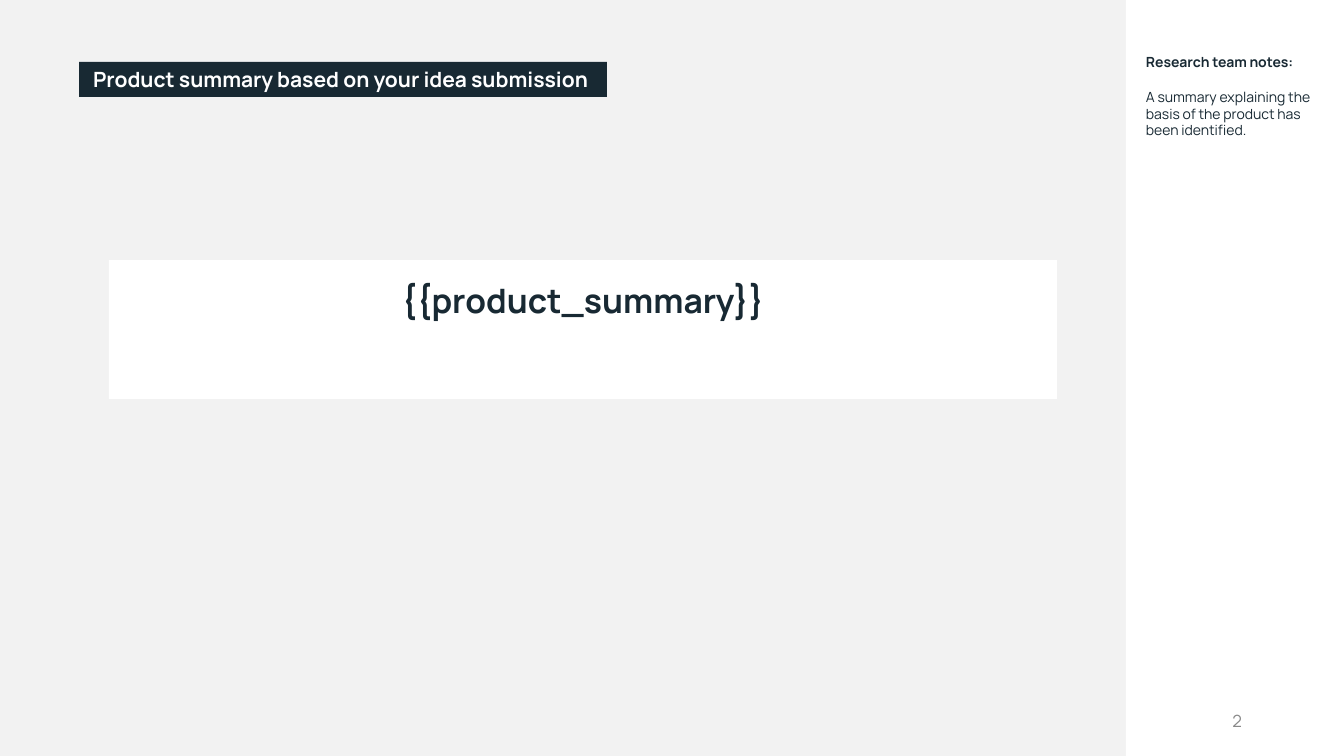
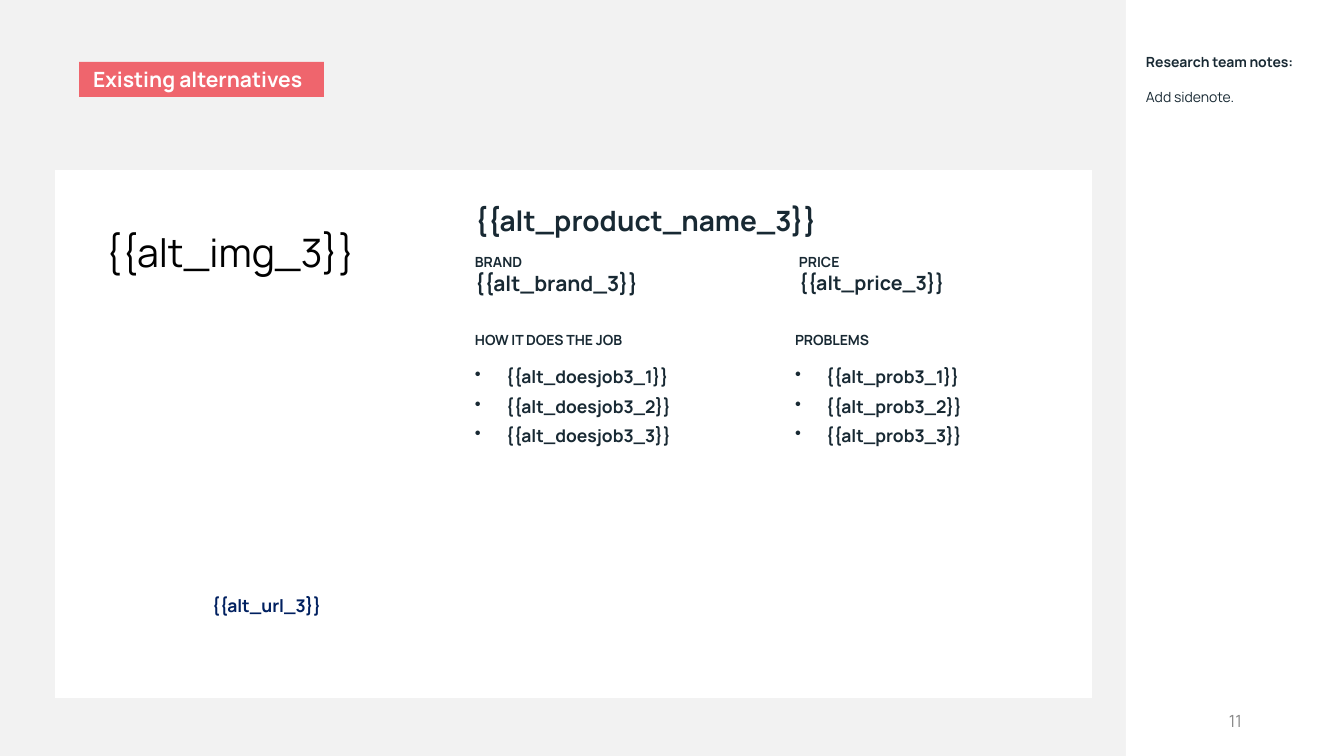
from lxml import etree
from pptx import Presentation
from pptx.dml.color import RGBColor
from pptx.enum.shapes import MSO_SHAPE
from pptx.enum.text import MSO_ANCHOR, MSO_AUTO_SIZE, PP_ALIGN
from pptx.oxml.ns import qn
from pptx.util import Emu, Pt

RECTANGLE = MSO_SHAPE.RECTANGLE
TOP, MIDDLE = MSO_ANCHOR.TOP, MSO_ANCHOR.MIDDLE
NO_AUTOFIT = MSO_AUTO_SIZE.NONE
LEFT, CENTER, RIGHT = PP_ALIGN.LEFT, PP_ALIGN.CENTER, PP_ALIGN.RIGHT

SLIDE_WIDTH, SLIDE_HEIGHT = 1344, 756
EMU_PER_PX = 12192000 / SLIDE_WIDTH
TITLE_ONLY = 5

FONT = "Manrope"
INK = "182933"
CORAL = "EF656D"
NAVY = "002060"
WHITE = "FFFFFF"
BLACK = "000000"
GRAY = "888888"
PAPER = "F2F2F2"


def px(length):
    return Emu(round(length * EMU_PER_PX))


def color(hex_code):
    return RGBColor.from_string(hex_code)


def add_bullet(paragraph, hex_code, indent):
    properties = paragraph._p.get_or_add_pPr()
    properties.set("marL", str(px(indent)))
    properties.set("indent", str(-px(indent)))
    bullet_color = etree.SubElement(properties, qn("a:buClr"))
    etree.SubElement(bullet_color, qn("a:srgbClr")).set("val", hex_code)
    etree.SubElement(properties, qn("a:buChar")).set("char", "•")


def write(frame, text, size=10, ink=INK, bold=True, align=LEFT, before=0, bullet=False):
    paragraph = frame.paragraphs[0]
    if paragraph.runs:
        paragraph = frame.add_paragraph()
    paragraph.alignment = align
    paragraph.space_before = Pt(before)
    if bullet:
        add_bullet(paragraph, ink, 31)
    run = paragraph.add_run()
    run.text = text
    run.font.name = FONT
    run.font.size = Pt(size)
    run.font.bold = bold
    run.font.color.rgb = color(ink)


class Deck:
    def __init__(self):
        self.presentation = Presentation()
        self.presentation.slide_width = px(SLIDE_WIDTH)
        self.presentation.slide_height = px(SLIDE_HEIGHT)
        background = self.presentation.slide_master.background.fill
        background.solid()
        background.fore_color.rgb = color(PAPER)
        self.slide = None

    def start_slide(self, title, title_width, title_fill, note, number):
        layout = self.presentation.slide_layouts[TITLE_ONLY]
        self.slide = self.presentation.slides.add_slide(layout)
        self.title(title, title_width, title_fill)
        self.card(1126, -1, 218, 757)
        self.note(note)
        number_frame = self.text_area(950, 701, 302, 40, anchor=MIDDLE)
        write(number_frame, str(number), size=12, ink=GRAY, bold=False, align=RIGHT)

    def frame(self, holder, insets=(10, 5, 10, 5), anchor=TOP):
        frame = holder.text_frame
        frame.word_wrap = True
        frame.auto_size = NO_AUTOFIT
        frame.vertical_anchor = anchor
        frame.margin_left, frame.margin_top, frame.margin_right, frame.margin_bottom = map(px, insets)
        return frame

    def title(self, text, width, fill):
        band = self.slide.shapes.title
        band.left, band.top, band.width, band.height = map(px, (79, 62, width, 35))
        band.fill.solid()
        band.fill.fore_color.rgb = color(fill)
        write(self.frame(band, (14, 5, 5, 5)), text, size=15, ink=WHITE)

    def card(self, left, top, width, height):
        card = self.slide.shapes.add_shape(RECTANGLE, *map(px, (left, top, width, height)))
        card.shadow.inherit = False
        card.fill.solid()
        card.fill.fore_color.rgb = color(WHITE)
        card.line.fill.background()
        return card

    def text_area(self, left, top, width, height, **layout):
        area = self.slide.shapes.add_textbox(*map(px, (left, top, width, height)))
        return self.frame(area, **layout)

    def note(self, text):
        frame = self.text_area(1126, 0, 210, 160, insets=(20, 54, 20, 20))
        write(frame, "Research team notes:")
        write(frame, text, bold=False, before=12.5)

    def line(self, text, left, top, width, height, **style):
        write(self.text_area(left, top, width, height), text, **style)

    def labeled_value(self, label, value, left, width, size):
        frame = self.text_area(left, 249, width, 52)
        write(frame, label)
        write(frame, value, size=size)

    def labeled_list(self, label, items, left, width):
        frame = self.text_area(left, 327, width, 125)
        write(frame, label)
        for index, item in enumerate(items):
            write(frame, item, size=12.5, before=6 if index else 12.5, bullet=True)


def build_summary(deck):
    deck.start_slide("Product summary based on your idea submission", 528, INK,
                     "A summary explaining the basis of the product has been identified.", 2)
    summary = deck.frame(deck.card(109, 260, 948, 139), (39, 20, 39, 20))
    write(summary, "{{product_summary}}", size=24, align=CENTER)


def build_alternatives(deck):
    deck.start_slide("Existing alternatives", 245, CORAL, "Add sidenote.", 11)
    deck.card(55, 170, 1037, 528)
    image_area = deck.text_area(95, 218, 325, 332, insets=(10, 10, 10, 10))
    write(image_area, "{{alt_img_3}}", size=28, ink=BLACK, bold=False)
    deck.line("{{alt_url_3}}", 202, 590, 204, 31, size=12.5, ink=NAVY)
    deck.line("{{alt_product_name_3}}", 465, 198, 627, 44, size=20)
    deck.labeled_value("BRAND", "{{alt_brand_3}}", 465, 254, 15)
    deck.labeled_value("PRICE", "{{alt_price_3}}", 789, 302, 14)
    for label, field, left, width in (("HOW IT DOES THE JOB", "doesjob", 465, 325),
                                      ("PROBLEMS", "prob", 785, 306)):
        items = ["{{alt_" + f"{field}3_{place}" + "}}" for place in range(1, 4)]
        deck.labeled_list(label, items, left, width)


def main():
    deck = Deck()
    build_summary(deck)
    build_alternatives(deck)
    deck.presentation.save("out.pptx")


if __name__ == "__main__":
    main()
